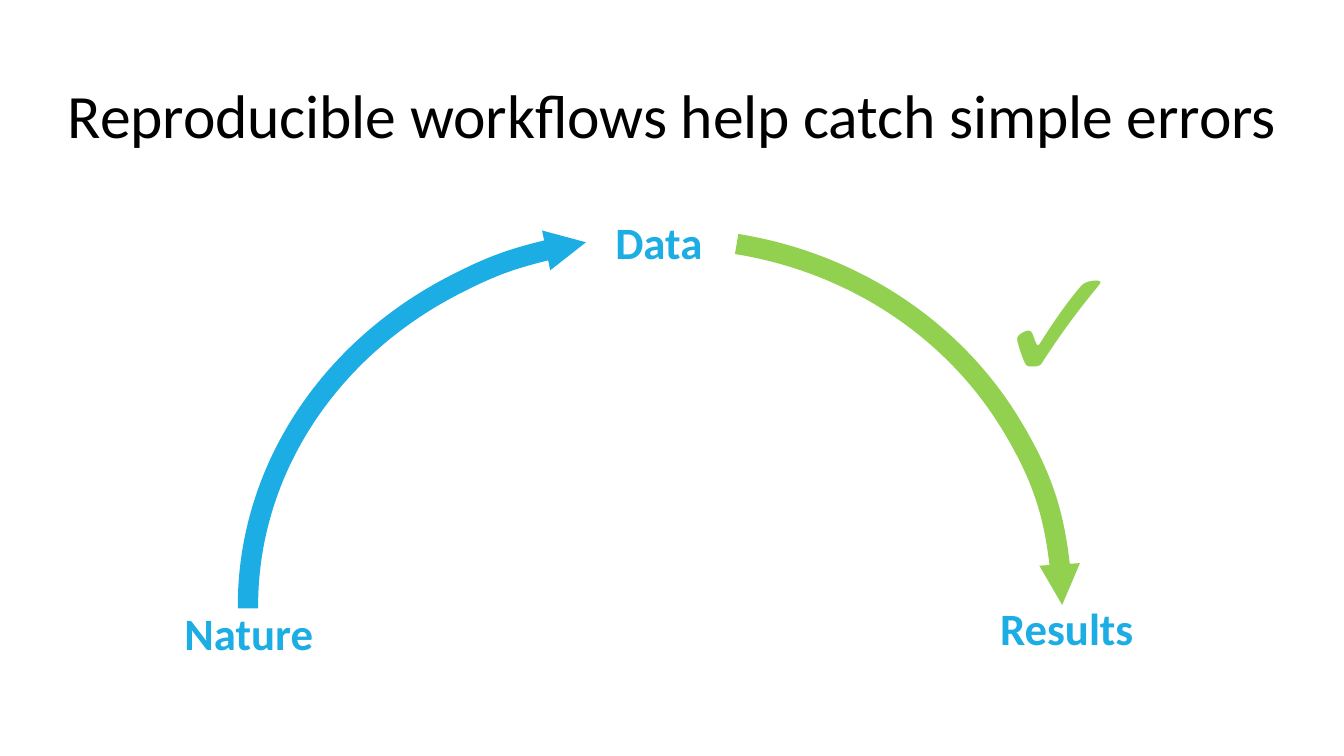
from pptx import Presentation
from pptx import util as u
from pptx.dml.color import RGBColor
from pptx.enum import shapes, text
from pptx.oxml.ns import qn
from lxml import etree

BLUE = RGBColor(0x1C, 0xAD, 0xE4)
GREEN = RGBColor(0x92, 0xD0, 0x50)
BLACK = RGBColor(0, 0, 0)
FONT = "Calibri"
WIDE, HIGH = 33.87, 19.05


def write(shape, words, size=32, color=BLUE, bold=True, align=text.PP_ALIGN.CENTER,
          inset=(0, 0.03, 0, 0), space=0):
    """Fill a shape with one formatted line; insets are in centimetres."""
    frame = shape.text_frame
    frame.word_wrap = True
    frame.auto_size = text.MSO_AUTO_SIZE.NONE
    frame.vertical_anchor = text.MSO_ANCHOR.TOP
    (frame.margin_left, frame.margin_top,
     frame.margin_right, frame.margin_bottom) = map(u.Cm, inset)
    para = frame.paragraphs[0]
    para.alignment = align
    run = para.add_run()
    run.text = words
    font = run.font
    font.name, font.size, font.bold = FONT, u.Pt(size), bold
    font.color.rgb = color
    if space:
        run._r.get_or_add_rPr().set("spc", str(space))


class Cycle:
    thick = u.Pt(14.5)

    def __init__(self, deck):
        self.slide = deck.slides.add_slide(deck.slide_layouts[5])

    def title(self, words, top, high):
        head = self.slide.shapes.title
        head.left, head.top, head.width, head.height = map(u.Cm, (0, top, WIDE, high))
        write(head, words, size=44, color=BLACK, bold=False, space=-10)

    def label(self, words, *box, **style):
        write(self.slide.shapes.add_textbox(*map(u.Cm, box)), words, **style)

    def arc(self, color, start, end, *box):
        """Draw an arrow along an ellipse, clockwise between two angles in degrees."""
        arc = self.slide.shapes.add_shape(shapes.MSO_SHAPE.ARC, *map(u.Cm, box))
        for i, angle in enumerate((start, end)):
            arc.adjustments[i] = angle * 0.6
        arc.shadow.inherit = False
        arc.fill.background()
        arc.line.color.rgb = color
        arc.line.width = self.thick
        line = arc.line._get_or_add_ln()
        etree.SubElement(line, qn("a:tailEnd"), type="triangle", w="sm", len="sm")


def main():
    deck = Presentation()
    deck.slide_width, deck.slide_height = u.Cm(WIDE), u.Cm(HIGH)
    cycle = Cycle(deck)
    cycle.title("Reproducible workflows help catch simple errors", 1.9, 1.9)
    cycle.arc(GREEN, 280.25, 359.8, 7.06, 6.02, 19.71, 18.52)
    cycle.arc(BLUE, 179.61, 259.14, 6.25, 5.97, 20.55, 18.59)
    for words, left, top, wide in (("Data", 14.99, 5.38, 3.23),
                                   ("Nature", 3.63, 15.24, 5.28),
                                   ("Results", 23.62, 15.11, 6.53)):
        cycle.label(words, left, top, wide, 1.4)
    cycle.label("✓", 24.79, 5.44, 4.32, 5.18, size=115, color=GREEN,
                align=text.PP_ALIGN.LEFT, inset=(0.25, 0.13, 0.25, 0.13))
    deck.save("out.pptx")


if __name__ == "__main__":
    main()
